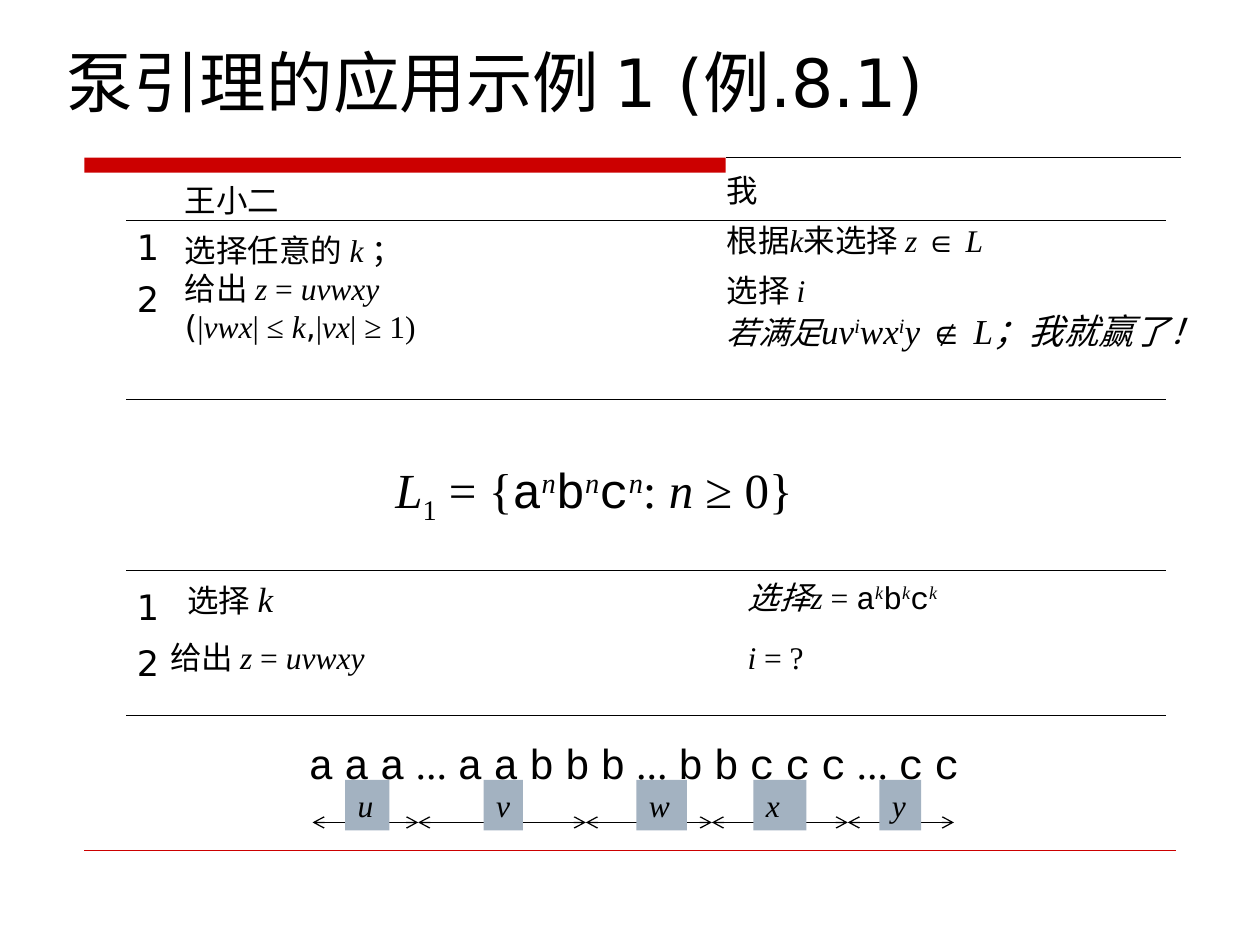
from pptx import Presentation
from pptx.util import Cm, Pt
from pptx.dml.color import RGBColor as RGB
from pptx.enum.shapes import MSO_SHAPE as Shape, MSO_CONNECTOR as Link
from pptx.enum.text import MSO_ANCHOR as Anchor, MSO_AUTO_SIZE as Fit, PP_ALIGN as Align
from pptx.oxml.ns import qn
from lxml import etree

HUES = {"ink": "000000", "red": "CC0000", "tile": "A3B2C1"}
# Run styles: font, italic, baseline shift
STYLES = {
    "sans": ("DejaVu Sans", False, 0),
    "serif": ("Times New Roman", False, 0),
    "var": ("Times New Roman", True, 0),
    "sup": ("Times New Roman", True, 30000),
    "sub": ("Times New Roman", False, -25000),
    "mono": ("Courier New", False, 0),
    "sign": ("Arial", False, 0),
}

deck = Presentation()
deck.slide_width, deck.slide_height = Cm(25.4), Cm(19.05)
slide = deck.slides.add_slide(deck.slide_layouts[6])
shapes = slide.shapes


def write(shape, paras, size=18, wrap=False, gap=0):
    """Fill a shape with paragraphs of (text, style[, size]) runs."""
    frame = shape.text_frame
    frame.word_wrap = wrap
    frame.auto_size = Fit.SHAPE_TO_FIT_TEXT
    for n, runs in enumerate(paras):
        para = frame.paragraphs[0] if n == 0 else frame.add_paragraph()
        para.alignment = Align.LEFT
        para.font.size = Pt(size)
        para.font.color.rgb = RGB.from_string(HUES["ink"])
        if n:
            para.space_before = Pt(gap)
        for text, style, *own in runs:
            if text == "\n":
                para.add_line_break()
                continue
            run = para.add_run()
            run.text = text
            name, slant, shift = STYLES[style]
            run.font.name, run.font.italic = name, slant
            if own:
                run.font.size = Pt(own[0])
            if shift:
                run.font._element.set("baseline", str(shift))


def rule(x1, y1, x2, y2, hue="ink", width=0.75):
    """Draw a straight line without a shadow."""
    line = shapes.add_connector(Link.STRAIGHT, Cm(x1), Cm(y1), Cm(x2), Cm(y2))
    line.line.color.rgb = RGB.from_string(HUES[hue])
    line.line.width = Pt(width)
    etree.SubElement(line._element.spPr, qn("a:effectLst"))
    return line


# Red bar and the thin lines at top and bottom
rule(14.63, 3.18, 23.8, 3.18)
bar = shapes.add_shape(Shape.RECTANGLE, Cm(1.7), Cm(3.18), Cm(12.93), Cm(0.3))
bar.shadow.inherit = False
bar.fill.solid()
bar.fill.fore_color.rgb = RGB.from_string(HUES["red"])
bar.line.fill.background()
rule(1.7, 17.15, 23.7, 17.15, "red", 0.25)

# Title
title = shapes.add_textbox(Cm(1.1), Cm(0.72), Cm(23.2), Cm(1.83))
write(title, [[("泵引理的应用示例 1 (例.8.1)", "sans")]], 38, True)
title.text_frame.auto_size = Fit.NONE
title.text_frame.vertical_anchor = Anchor.MIDDLE

# Rules between the parts
for y in (4.45, 8.05, 11.5, 14.43):
    rule(2.54, y, 23.5, y)

# Step numbers
for y, step in ((4.42, "1"), (5.46, "2"), (11.68, "1"), (12.8, "2")):
    box = shapes.add_textbox(Cm(2.51), Cm(y), Cm(0.92), Cm(1.11))
    write(box, [[(step, "sans")]], 20)

# The two players, the language and its moves: left, top, width, height
split = [("z", "var"), (" = ", "serif"), ("uvwxy", "var")]
game = [
    ((3.48, 3.53, 6.48, 3.56), 18, False, 6.8, [
        [("王小二", "sans")],
        [("选择任意的 ", "sans"), ("k ", "var"), ("；", "sans"), ("\n", ""),
         ("给出 ", "sans"), *split, (" ", "var"), ("\n", ""),
         ("(", "sans"), ("|", "serif"), ("vwx", "var"), ("| ≤ ", "serif"),
         ("k", "var"), (",", "sans"), ("|", "serif"), ("vx", "var"),
         ("| ≥ 1)", "serif")]]),
    ((14.4, 3.33, 10.77, 3.89), 18, False, 7, [
        [("我", "sans")],
        [("根据", "sans"), ("k", "var"), ("来选择 ", "sans"), ("z ", "var"),
         ("∈ ", "sign"), ("L", "var")],
        [("选择 ", "sans"), ("i", "var"), ("\n", ""), ("若满足", "var"),
         ("uv", "var", 20), ("i", "sup", 20), ("wx", "var", 20),
         ("i", "sup", 20), ("y ", "var", 20), ("∉ ", "sign", 20),
         ("L；我就赢了！", "var", 20)]]),
    ((7.72, 9.13, 9.88, 1.6), 28, False, 0, [
        [("L", "var"), ("1", "sub"), (" = {", "serif"),
         ("a", "mono"), ("n", "sup"), ("b", "mono"), ("n", "sup"),
         ("c", "mono"), ("n", "sup"), (": ", "serif"), ("n", "var"),
         (" ≥ 0}", "serif")]]),
    ((3.53, 11.52, 3.6, 1.12), 18, True, 0,
     [[("选择 ", "sans"), ("k", "var", 20)]]),
    ((3.18, 12.73, 5.08, 1.02), 18, False, 0, [[("给出 ", "sans"), *split]]),
    ((14.82, 11.52, 6.88, 1.02), 18, True, 0, [
        [("选择z", "var"), (" = ", "serif"), ("a", "mono"), ("k", "sup"),
         ("b", "mono"), ("k", "sup"), ("c", "mono"), ("k", "sup")]]),
    ((14.82, 12.73, 2.34, 1.02), 18, True, 0,
     [[("i", "var"), (" = ?", "serif")]]),
]
for place, size, wrap, gap, paras in game:
    box = shapes.add_textbox(*map(Cm, place))
    write(box, paras, size, wrap, gap)

# Double arrows under the string
ends = (6.3, 8.43, 11.81, 14.35, 17.09, 19.23)
for x1, x2 in zip(ends, ends[1:]):
    arrow = rule(x1, 16.58, x2, 16.58)
    for tag in ("a:headEnd", "a:tailEnd"):
        etree.SubElement(arrow.line._get_or_add_ln(), qn(tag), type="arrow")

# Tiles naming the pieces
tiles = (("u", 6.96, 0.89), ("v", 9.75, 0.79), ("w", 12.83, 1.02),
         ("x", 15.19, 1.07), ("y", 17.73, 0.84))
for name, x, width in tiles:
    tile = shapes.add_shape(Shape.RECTANGLE, Cm(x), Cm(15.72), Cm(width), Cm(1.02))
    tile.shadow.inherit = False
    tile.fill.solid()
    tile.fill.fore_color.rgb = RGB.from_string(HUES["tile"])
    tile.line.fill.background()
    write(tile, [[(name, "var")]])

# The string itself, with narrow serif spaces between the letters
box = shapes.add_textbox(Cm(5.97), Cm(14.75), Cm(13.77), Cm(1.27))
runs = []
for mark in "a a a ... a a b b b ... b b c c c ... c c".split():
    if runs:
        runs.append((" ", "serif"))
    runs.append((mark, "serif" if mark == "..." else "mono"))
write(box, [runs], 24)

deck.save("out.pptx")
